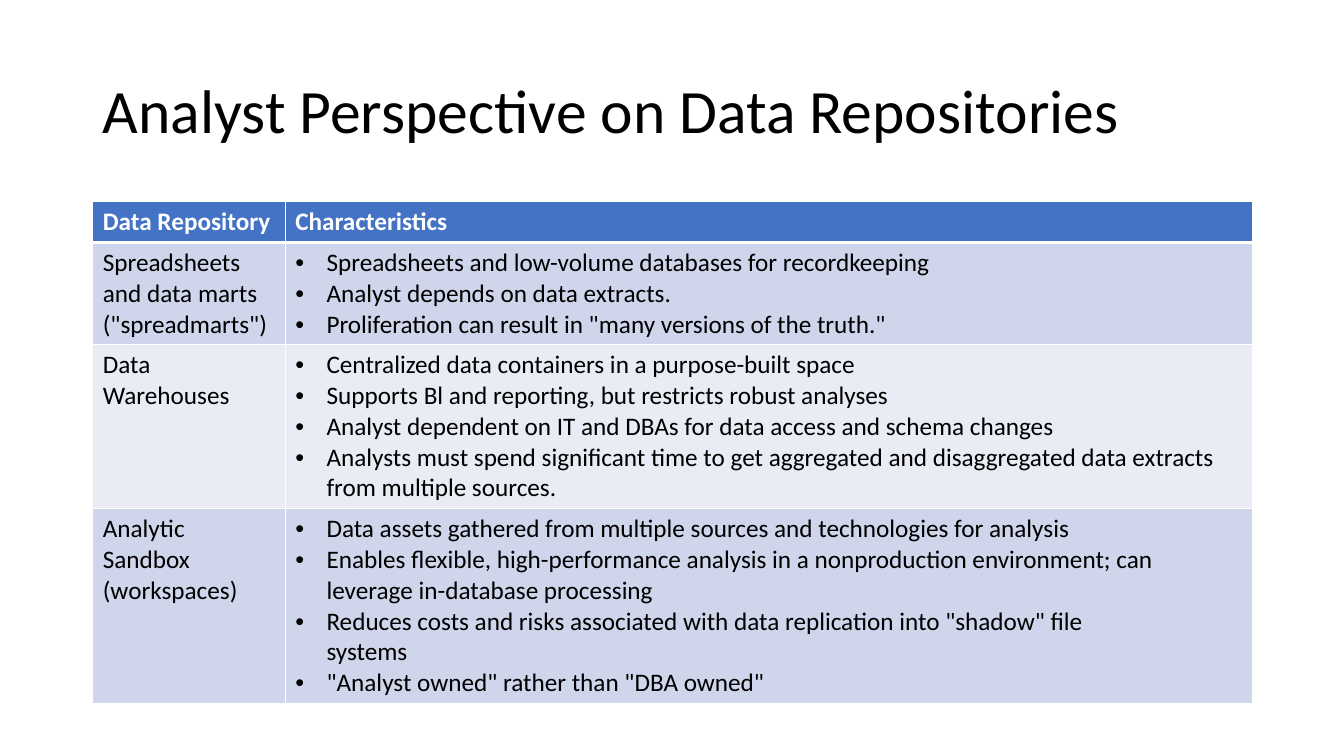
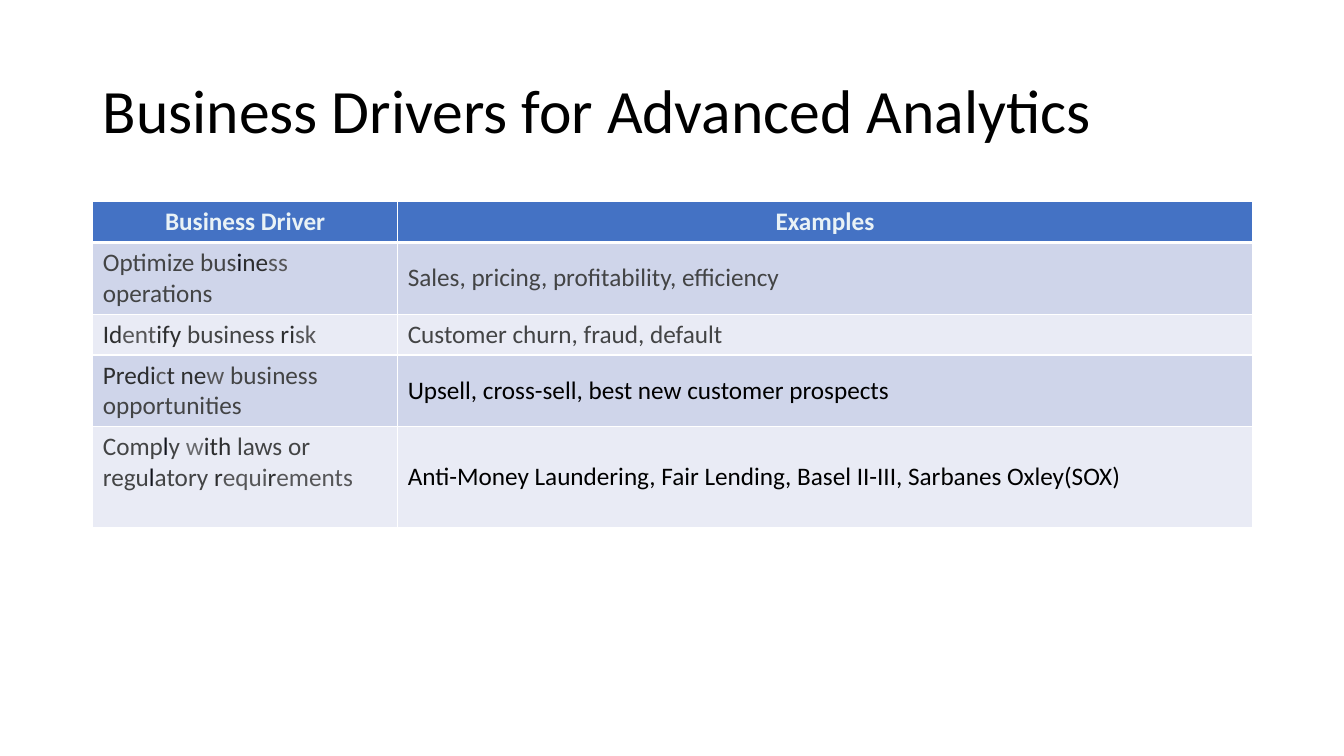
from lxml.etree import SubElement
from pptx import Presentation
from pptx.dml.color import RGBColor
from pptx.enum.text import MSO_ANCHOR, PP_ALIGN
from pptx.oxml.ns import qn
from pptx.util import Emu, Inches, Pt

SLIDE_WIDTH, SLIDE_HEIGHT = Inches(13.33), Inches(7.5)
MARGIN = 0.92
CONTENT_WIDTH = 11.5
TITLE_BOX = {"left": Inches(MARGIN), "top": Inches(0.4),
             "width": Inches(CONTENT_WIDTH), "height": Inches(1.45)}
TABLE_TOP = 2
LINE_HEIGHT, CELL_PADDING = 0.3, 0.1
BULLET_INDENT = Inches(0.31)
FONT = "Calibri"
COLORS = {
    "white": "FFFFFF", "black": "000000", "header": "4472C4",
    "band_odd": "CFD5EA", "band_even": "E9EBF5", "pale": "E9F2F6",
    "ink": "12141D", "dark": "2D2E2F", "gray": "434445",
    "mid": "565658", "light": "696A6D",
}
TITLE_FONT = {"name": FONT, "size": Pt(44), "bold": False}
HEADER_FONT = {"name": FONT, "size": Pt(18), "bold": True}
BODY_FONT = {"name": FONT, "size": Pt(18), "bold": False}

# Each row: number of text lines, first cell, second cell.
# A list of strings is a bullet list; a list of pairs is coloured text.
REPOSITORIES = {
    "title": "Analyst Perspective on Data Repositories",
    "first_share": 0.166,
    "header": ("Data Repository", "Characteristics"),
    "header_color": "white",
    "header_align": PP_ALIGN.LEFT,
    "anchors": (MSO_ANCHOR.TOP, MSO_ANCHOR.TOP),
    "rows": [
        (3, "Spreadsheets and data marts\n(\"spreadmarts\")", [
            "Spreadsheets and low-volume databases for recordkeeping",
            "Analyst depends on data extracts.",
            "Proliferation can result in \"many versions of the truth.\"",
        ]),
        (5, "Data Warehouses", [
            "Centralized data containers in a purpose-built space",
            "Supports Bl and reporting, but restricts robust analyses",
            "Analyst dependent on IT and DBAs for data access and schema changes",
            "Analysts must spend significant time to get aggregated and "
            "disaggregated data extracts from multiple sources.",
        ]),
        (6, "Analytic Sandbox\n(workspaces)", [
            "Data assets gathered from multiple sources and technologies for analysis",
            "Enables flexible, high-performance analysis in a nonproduction "
            "environment; can leverage in-database processing",
            "Reduces costs and risks associated with data replication into "
            "\"shadow\" file\nsystems",
            "\"Analyst owned\" rather than \"DBA owned\"",
        ]),
    ],
}
DRIVERS = {
    "title": "Business Drivers for Advanced Analytics",
    "first_share": 0.263,
    "header": ("Business Driver", "Examples"),
    "header_color": "pale",
    "header_align": PP_ALIGN.CENTER,
    "anchors": (MSO_ANCHOR.TOP, MSO_ANCHOR.MIDDLE),
    "rows": [
        (2, [("Optimize bus", "gray"), ("i", "ink"), ("ne", "dark"),
             ("ss ", "mid"), ("operations", "gray")],
         [("Sales, pricing, profitability, efficiency", "gray")]),
        (1, [("Id", "dark"), ("ent", "mid"), ("ify ", "dark"),
             ("business ", "gray"), ("ri", "dark"), ("sk", "mid")],
         [("Customer churn, fraud, default", "gray")]),
        (2, [("Predi", "dark"), ("c", "mid"), ("t ne", "dark"), ("w ", "mid"),
             ("business opportunities", "gray")],
         "Upsell, cross-sell, best new customer prospects"),
        (3, [("Comp", "gray"), ("l", "ink"), ("y ", "gray"), ("w", "light"),
             ("ith ", "dark"), ("laws or regu", "gray"), ("l", "ink"),
             ("atory ", "gray"), ("r", "dark"), ("equi", "mid"),
             ("r", "dark"), ("ements", "mid")],
         "Anti-Money Laundering, Fair Lending, Basel II-III, Sarbanes Oxley(SOX)"),
    ],
}


def color(name):
    return RGBColor.from_string(COLORS[name])


def apply_format(target, values):
    for name, value in values.items():
        setattr(target, name, value)


def add_runs(paragraph, pieces, font_format):
    """Write (text, colour name) pairs; a newline becomes a line break."""
    for text, color_name in pieces:
        for index, line in enumerate(text.split("\n")):
            if index:
                paragraph.add_line_break()
            run = paragraph.add_run()
            run.text = line
            apply_format(run.font, font_format)
            run.font.color.rgb = color(color_name)


def add_bullet(paragraph):
    properties = paragraph._p.get_or_add_pPr()
    properties.set("marL", str(BULLET_INDENT))
    properties.set("indent", str(-BULLET_INDENT))
    SubElement(properties, qn("a:buFont"), typeface="Arial")
    SubElement(properties, qn("a:buChar"), char="•")


def set_borders(cell, widths):
    properties = cell._tc.get_or_add_tcPr()
    for side, width in widths.items():
        line = SubElement(properties, qn(f"a:ln{side}"), w=str(Pt(width)))
        fill = SubElement(line, qn("a:solidFill"))
        SubElement(fill, qn("a:srgbClr"), val=COLORS["white"])


def style_cell(cell, fill_name, anchor, top=1, bottom=1):
    set_borders(cell, {"L": 1, "R": 1, "T": top, "B": bottom})
    cell.fill.solid()
    cell.fill.fore_color.rgb = color(fill_name)
    cell.vertical_anchor = anchor


def fill_body_cell(cell, content):
    frame = cell.text_frame
    if isinstance(content, str):
        add_runs(frame.paragraphs[0], [(content, "black")], BODY_FONT)
    elif isinstance(content[0], tuple):
        add_runs(frame.paragraphs[0], content, BODY_FONT)
    else:
        for index, item in enumerate(content):
            paragraph = frame.add_paragraph() if index else frame.paragraphs[0]
            add_bullet(paragraph)
            add_runs(paragraph, [(item, "black")], BODY_FONT)


def add_title(slide, text):
    title = slide.shapes.title
    apply_format(title, TITLE_BOX)
    apply_format(title.text_frame, {"vertical_anchor": MSO_ANCHOR.MIDDLE,
                                    "word_wrap": True})
    paragraph = title.text_frame.paragraphs[0]
    apply_format(paragraph, {"alignment": PP_ALIGN.LEFT, "line_spacing": 0.9})
    add_runs(paragraph, [(text, "black")], TITLE_FONT)


def add_content_table(slide, content):
    rows = content["rows"]
    heights = [Inches(CELL_PADDING + LINE_HEIGHT * lines)
               for lines in [1] + [row[0] for row in rows]]
    width = Inches(CONTENT_WIDTH)
    table = slide.shapes.add_table(
        len(heights), 2, Inches(MARGIN), Inches(TABLE_TOP),
        width, Emu(sum(heights))).table
    first_width = int(width * content["first_share"])
    table.columns[0].width = Emu(first_width)
    table.columns[1].width = Emu(width - first_width)
    for row, height in zip(table.rows, heights):
        row.height = height

    for column, text in enumerate(content["header"]):
        cell = table.cell(0, column)
        style_cell(cell, "header", MSO_ANCHOR.TOP, bottom=3)
        paragraph = cell.text_frame.paragraphs[0]
        paragraph.alignment = content["header_align"]
        add_runs(paragraph, [(text, content["header_color"])], HEADER_FONT)

    for number, (_, *cells) in enumerate(rows, start=1):
        band = "band_odd" if number % 2 else "band_even"
        for column, cell_content in enumerate(cells):
            cell = table.cell(number, column)
            style_cell(cell, band, content["anchors"][column],
                       top=3 if number == 1 else 1)
            fill_body_cell(cell, cell_content)


def main():
    presentation = Presentation()
    apply_format(presentation, {"slide_width": SLIDE_WIDTH,
                                "slide_height": SLIDE_HEIGHT})
    title_only = presentation.slide_layouts[5]
    for content in (REPOSITORIES, DRIVERS):
        slide = presentation.slides.add_slide(title_only)
        add_title(slide, content["title"])
        add_content_table(slide, content)
    presentation.save("out.pptx")


if __name__ == "__main__":
    main()
